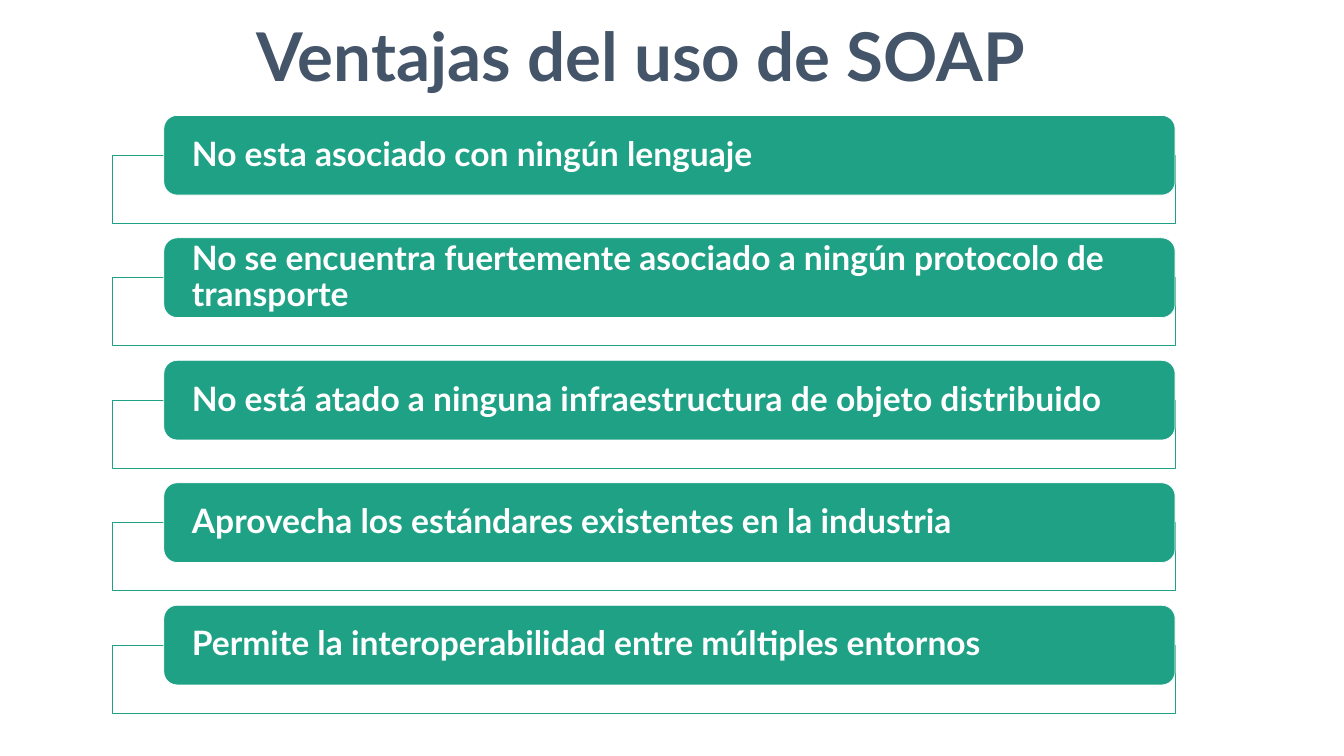
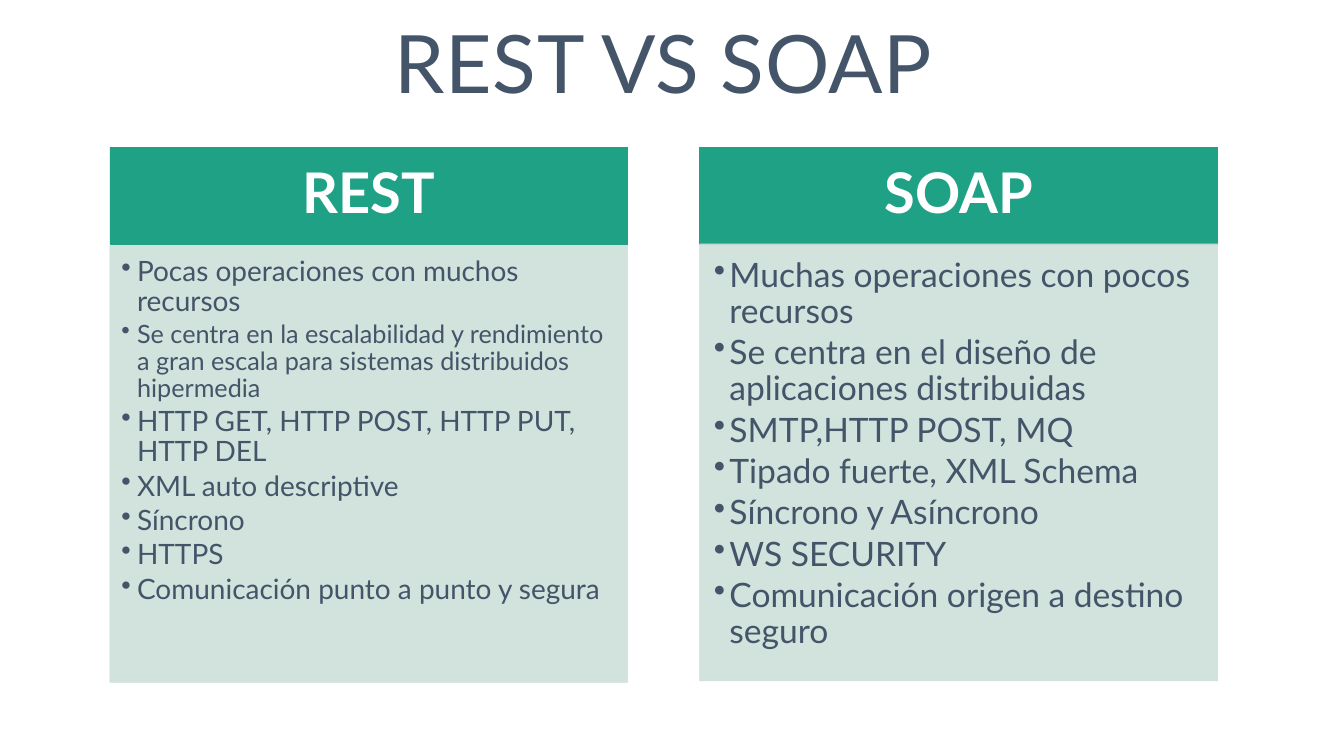
import dataclasses

import pptx
import pptx.dml.color
import pptx.enum.shapes
import pptx.enum.text
import pptx.oxml.xmlchemy
import pptx.util
from pptx.util import Inches

SHAPES = pptx.enum.shapes.MSO_SHAPE
ALIGN = pptx.enum.text.PP_ALIGN
ANCHOR = pptx.enum.text.MSO_ANCHOR


@dataclasses.dataclass(frozen=True)
class Theme:
    font: str = "Lato"
    white: str = "FFFFFF"
    green: str = "1EA185"
    pale_green: str = "CDE0D9"
    slate: str = "445469"
    benefit_size: int = 48
    header_size: int = 80
    line_width: int = 1
    line_spacing: float = 0.9
    bullet_gap: float = 0.15
    bullet_indent: float = 0.31
    panel_opacity: int = 90


THEME = Theme()

BENEFITS = [
    "No esta asociado con ningún lenguaje",
    "No se encuentra fuertemente asociado a ningún protocolo de transporte",
    "No está atado a ninguna infraestructura de objeto distribuido",
    "Aprovecha los estándares existentes en la industria",
    "Permite la interoperabilidad entre múltiples entornos",
]

# Each point is a text and its size.
REST_POINTS = [
    ("Pocas operaciones con muchos recursos", 40),
    ("Se centra en la escalabilidad y rendimiento a gran escala "
     "para sistemas distribuidos hipermedia", 36),
    ("HTTP GET, HTTP POST, HTTP PUT, HTTP DEL", 40),
    ("XML auto descriptive", 40),
    ("Síncrono", 40),
    ("HTTPS", 40),
    ("Comunicación punto a punto y segura", 40),
]
SOAP_POINTS = [(text, 48) for text in (
    "Muchas operaciones con pocos recursos",
    "Se centra en el diseño de aplicaciones distribuidas",
    "SMTP,HTTP POST, MQ",
    "Tipado fuerte, XML Schema",
    "Síncrono y Asíncrono",
    "WS SECURITY",
    "Comunicación origen a destino seguro",
)]


def set_attributes(target, values):
    for name, value in values.items():
        setattr(target, name, value)


def rgb(color):
    return pptx.dml.color.RGBColor.from_string(color)


def add_child(parent, tag, **attributes):
    child = parent.makeelement(pptx.oxml.ns.qn(tag), attributes)
    parent.append(child)
    return child


def set_opacity(fill_format, percent):
    """Make a solid fill, of a shape or of its line, partly transparent."""
    color = fill_format._xPr.find(pptx.oxml.ns.qn("a:solidFill"))[0]
    add_child(color, "a:alpha", val=str(percent * 1000))


def add_block(slide, kind, box, fill, line, opacity=100, line_opacity=100):
    shape = slide.shapes.add_shape(kind, *map(Inches, box))
    shape.shadow.inherit = False
    shape.fill.solid()
    shape.fill.fore_color.rgb = rgb(fill)
    shape.line.color.rgb = rgb(line)
    shape.line.width = pptx.util.Pt(THEME.line_width)
    if opacity < 100:
        set_opacity(shape.fill, opacity)
    if line_opacity < 100:
        set_opacity(shape.line.fill, line_opacity)
    return shape


def set_frame(shape, anchor, insets):
    """Wrap the text; insets are left, top, right and bottom."""
    sides = ("margin_left", "margin_top", "margin_right", "margin_bottom")
    values = dict(zip(sides, map(Inches, insets)))
    set_attributes(shape.text_frame, {"word_wrap": True, "vertical_anchor": anchor, **values})


def write(paragraph, text, size, color, bold=False, align=ALIGN.LEFT):
    set_attributes(paragraph, {"alignment": align, "line_spacing": THEME.line_spacing})
    run = paragraph.add_run()
    run.text = text
    set_attributes(run.font, {"name": THEME.font, "size": pptx.util.Pt(size), "bold": bold})
    run.font.color.rgb = rgb(color)
    return run


def add_title(slide, text, width, size, bold=False, tracking=0):
    box = slide.shapes.add_textbox(*map(Inches, (1.66, 0.42, width, 0.81)))
    set_frame(box, ANCHOR.TOP, (0.1, 0.05, 0.1, 0.05))
    run = write(box.text_frame.paragraphs[0], text, size, THEME.slate, bold, ALIGN.CENTER)
    if tracking:
        run.font._element.set("spc", str(tracking * 100))


def add_benefit(slide, top, text):
    """Add a rounded bar that covers the upper edge of an outlined box."""
    add_block(slide, SHAPES.RECTANGLE, (2.22, top + 0.79, 21.1, 1.35),
              THEME.white, THEME.green, THEME.panel_opacity)
    bar = add_block(slide, SHAPES.ROUNDED_RECTANGLE, (3.25, top, 20.06, 1.58),
                    THEME.green, THEME.white)
    set_frame(bar, ANCHOR.MIDDLE, (0.48, 0, 0.48, 0))
    write(bar.text_frame.paragraphs[0], text, THEME.benefit_size, THEME.white, bold=True)


def add_bullet(paragraph, text, size):
    write(paragraph, text, size, THEME.slate)
    paragraph.space_after = pptx.util.Pt(size * THEME.bullet_gap)
    properties = paragraph._p.get_or_add_pPr()
    indent = Inches(THEME.bullet_indent)
    properties.set("marL", str(indent))
    properties.set("indent", str(-indent))
    add_child(properties, "a:buChar", char="•")


def add_column(slide, left, heading, panel_top, points, insets):
    width = 10.27
    header = add_block(slide, SHAPES.RECTANGLE, (left, 2.92, width, 1.92),
                       THEME.green, THEME.green)
    set_frame(header, ANCHOR.MIDDLE, (0.62, 0.36, 0.62, 0.36))
    write(header.text_frame.paragraphs[0], heading, THEME.header_size,
          THEME.white, True, ALIGN.CENTER)

    panel = add_block(slide, SHAPES.RECTANGLE, (left, panel_top, width, 8.67),
                      THEME.pale_green, THEME.pale_green,
                      THEME.panel_opacity, THEME.panel_opacity)
    set_frame(panel, ANCHOR.TOP, insets)
    frame = panel.text_frame
    for index, (text, size) in enumerate(points):
        paragraph = frame.add_paragraph() if index else frame.paragraphs[0]
        add_bullet(paragraph, text, size)


def add_blank_slide(presentation):
    return presentation.slides.add_slide(presentation.slide_layouts[6])


def build_benefits(presentation):
    slide = add_blank_slide(presentation)
    add_title(slide, "Ventajas del uso de SOAP", 22.1, 96, bold=True)
    for row, text in enumerate(BENEFITS):
        add_benefit(slide, 2.29 + 2.43 * row, text)


def build_comparison(presentation):
    slide = add_blank_slide(presentation)
    add_column(slide, 2.18, "REST", 4.87, REST_POINTS, (0.23, 0.23, 0.31, 0.35))
    add_column(slide, 13.88, "SOAP", 4.84, SOAP_POINTS, (0.28, 0.28, 0.37, 0.42))
    add_title(slide, "REST VS SOAP", 23.01, 115, tracking=1)


def main():
    presentation = pptx.Presentation()
    set_attributes(presentation, {"slide_width": Inches(26.66), "slide_height": Inches(15)})
    build_benefits(presentation)
    build_comparison(presentation)
    presentation.save("out.pptx")


if __name__ == "__main__":
    main()
